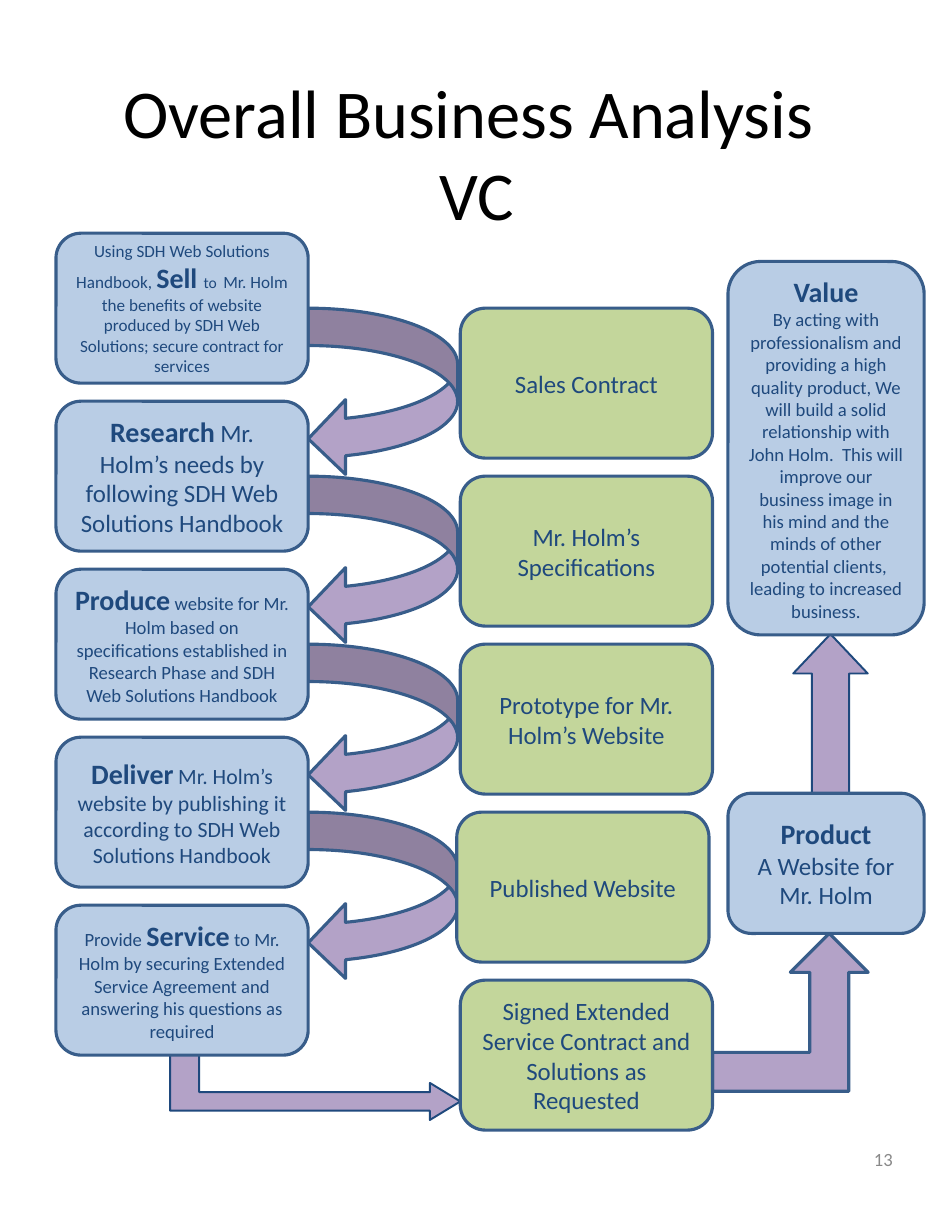
from dataclasses import dataclass

from pptx import Presentation
from pptx.dml.color import RGBColor
from pptx.enum.shapes import MSO_SHAPE
from pptx.enum.text import MSO_ANCHOR, MSO_AUTO_SIZE, PP_ALIGN
from pptx.util import Cm, Pt

ROUND_RECT = MSO_SHAPE.ROUNDED_RECTANGLE
CURVED_LEFT = MSO_SHAPE.CURVED_LEFT_ARROW
BENT_UP = MSO_SHAPE.BENT_UP_ARROW
UP = MSO_SHAPE.UP_ARROW
CENTER, RIGHT = PP_ALIGN.CENTER, PP_ALIGN.RIGHT
TOP, MIDDLE = MSO_ANCHOR.TOP, MSO_ANCHOR.MIDDLE
NO_AUTOFIT = MSO_AUTO_SIZE.NONE


@dataclass(frozen=True)
class Theme:
    font: str = "Calibri"
    title: str = "000000"
    text: str = "1F497D"
    number: str = "898989"
    activity: str = "B9CDE5"
    output: str = "C3D69B"
    arrow: str = "B3A2C7"
    border: str = "385D8A"
    thin_border: str = "1F497D"
    border_pt: float = 2
    thin_pt: float = 1.25
    title_pt: int = 44
    key_pt: int = 18
    body_pt: int = 16
    small_pt: int = 12


T = Theme()


def key(word):
    return word, T.key_pt, True


def plain(text, size=T.body_pt):
    return text, size, False


# Each box holds paragraphs; each paragraph holds (text, size, bold) runs.
TITLE = ("Overall Business Analysis ", "VC")
PAGE_NUMBER = "13"
ACTIVITIES = [
    [[plain("Using SDH Web Solutions Handbook, ", 11), key("Sell "),
      plain("to", 10), plain(" ", T.key_pt),
      plain("Mr. Holm the benefits of website produced by SDH Web Solutions; "
            "secure contract for services", 11)]],
    [[key("Research"), plain(" ", 15),
      plain("Mr. Holm’s needs by following SDH Web Solutions Handbook")]],
    [[key("Produce"),
      plain(" website for Mr. Holm based on specifications established in "
            "Research Phase and SDH Web Solutions Handbook", T.small_pt)]],
    [[key("Deliver"), plain(" ", 13),
      plain("Mr. Holm’s website by publishing it according to SDH Web "
            "Solutions Handbook", 14)]],
    [[plain("Provide", T.small_pt), plain(" ", 13), key("Service"),
      plain(" to Mr. Holm by securing Extended Service Agreement and "
            "answering his questions as required", T.small_pt)]],
]
# Output text and its left edge
OUTPUTS = [
    ("Sales Contract", 10.44),
    ("Mr. Holm’s Specifications", 10.44),
    ("Prototype for Mr. Holm’s Website", 10.44),
    ("Published Website", 10.36),
    ("Signed Extended Service Contract and Solutions as Requested", 10.44),
]
VALUE = [
    [key("Value")],
    [plain("By acting with professionalism and providing a high quality "
           "product, We will build a solid relationship with John Holm.  This "
           "will improve our business image in his mind and the minds of other "
           "potential clients,  leading to increased business.", T.small_pt)],
]
PRODUCT = [[key("Product")], [plain("A Website for Mr. Holm")]]

# Layout in centimetres
PITCH = 3.81
BOX_W, BOX_H = 5.72, 3.4
ACTIVITY_LEFT, ACTIVITY_TOP = 1.27, 5.29
OUTPUT_TOP = 6.99
ARROW_LEFT, ARROW_W = ACTIVITY_LEFT + BOX_W, 3.39
RESULT_LEFT, RESULT_W = 16.51, 4.45
SERVICE_ARROW = [
    (3.86, 23.7), (4.52, 23.7), (4.52, 24.77), (9.75, 24.77), (9.75, 24.56),
    (10.44, 24.98), (9.75, 25.4), (9.75, 25.19), (3.86, 25.19),
]


def rgb(value):
    return RGBColor.from_string(value)


def style(sp, fill, line=T.border, width=T.border_pt):
    sp.shadow.inherit = False
    sp.fill.solid()
    sp.fill.fore_color.rgb = rgb(fill)
    sp.line.color.rgb = rgb(line)
    sp.line.width = Pt(width)


def add_run(p, text, size, bold=False, color=T.text):
    r = p.add_run()
    r.text = text
    r.font.name = T.font
    r.font.size = Pt(size)
    r.font.bold = bold
    r.font.color.rgb = rgb(color)


def set_frame(tf, anchor):
    tf.word_wrap = True
    tf.auto_size = NO_AUTOFIT
    tf.vertical_anchor = anchor


def add_shape(s, kind, box, fill, **border):
    sp = s.shapes.add_shape(kind, *map(Cm, box))
    style(sp, fill, **border)
    return sp


def add_box(s, box, fill, paragraphs):
    tf = add_shape(s, ROUND_RECT, box, fill).text_frame
    set_frame(tf, MIDDLE)
    for i, runs in enumerate(paragraphs):
        p = tf.add_paragraph() if i else tf.paragraphs[0]
        p.alignment = CENTER
        for run in runs:
            add_run(p, *run)


def add_title(s):
    sp = s.shapes.title
    sp.left, sp.top, sp.width, sp.height = map(Cm, (1.09, 1.12, 19.43, 4.65))
    set_frame(sp.text_frame, MIDDLE)
    p = sp.text_frame.paragraphs[0]
    p.alignment = CENTER
    for i, line in enumerate(TITLE):
        if i:
            p.add_line_break()
        add_run(p, line, T.title_pt, color=T.title)


def add_page_number(s):
    tf = s.shapes.add_textbox(*map(Cm, (15.47, 25.91, 5.03, 1.5))).text_frame
    set_frame(tf, TOP)
    p = tf.paragraphs[0]
    p.alignment = RIGHT
    add_run(p, PAGE_NUMBER, T.small_pt, color=T.number)


def add_arrows(s):
    thin = {"line": T.thin_border, "width": T.thin_pt}
    for i in range(len(ACTIVITIES) - 1):
        top = OUTPUT_TOP + i * PITCH
        add_shape(s, CURVED_LEFT, (ARROW_LEFT, top, ARROW_W, PITCH), T.arrow)

    points = [(Cm(x), Cm(y)) for x, y in SERVICE_ARROW]
    outline = s.shapes.build_freeform(*points[0])
    outline.add_line_segments(points[1:], close=True)
    style(outline.convert_to_shape(), T.arrow, **thin)

    add_shape(s, BENT_UP, (16.16, 21.17, 3.53, 3.58), T.arrow)
    up = add_shape(s, UP, (17.99, 14.38, 1.69, 3.61), T.arrow, **thin)
    up.adjustments[1] = 0.53


def main():
    prs = Presentation()
    prs.slide_width, prs.slide_height = Cm(21.59), Cm(27.94)
    s = prs.slides.add_slide(prs.slide_layouts[5])
    add_title(s)
    add_page_number(s)
    add_arrows(s)
    for i, (activity, (output, left)) in enumerate(zip(ACTIVITIES, OUTPUTS)):
        offset = i * PITCH
        add_box(s, (ACTIVITY_LEFT, ACTIVITY_TOP + offset, BOX_W, BOX_H),
                T.activity, activity)
        add_box(s, (left, OUTPUT_TOP + offset, BOX_W, BOX_H),
                T.output, [[plain(output)]])
    add_box(s, (RESULT_LEFT, 5.93, RESULT_W, 8.47), T.activity, VALUE)
    add_box(s, (RESULT_LEFT, 17.99, RESULT_W, 3.18), T.activity, PRODUCT)
    prs.save("out.pptx")


if __name__ == "__main__":
    main()
